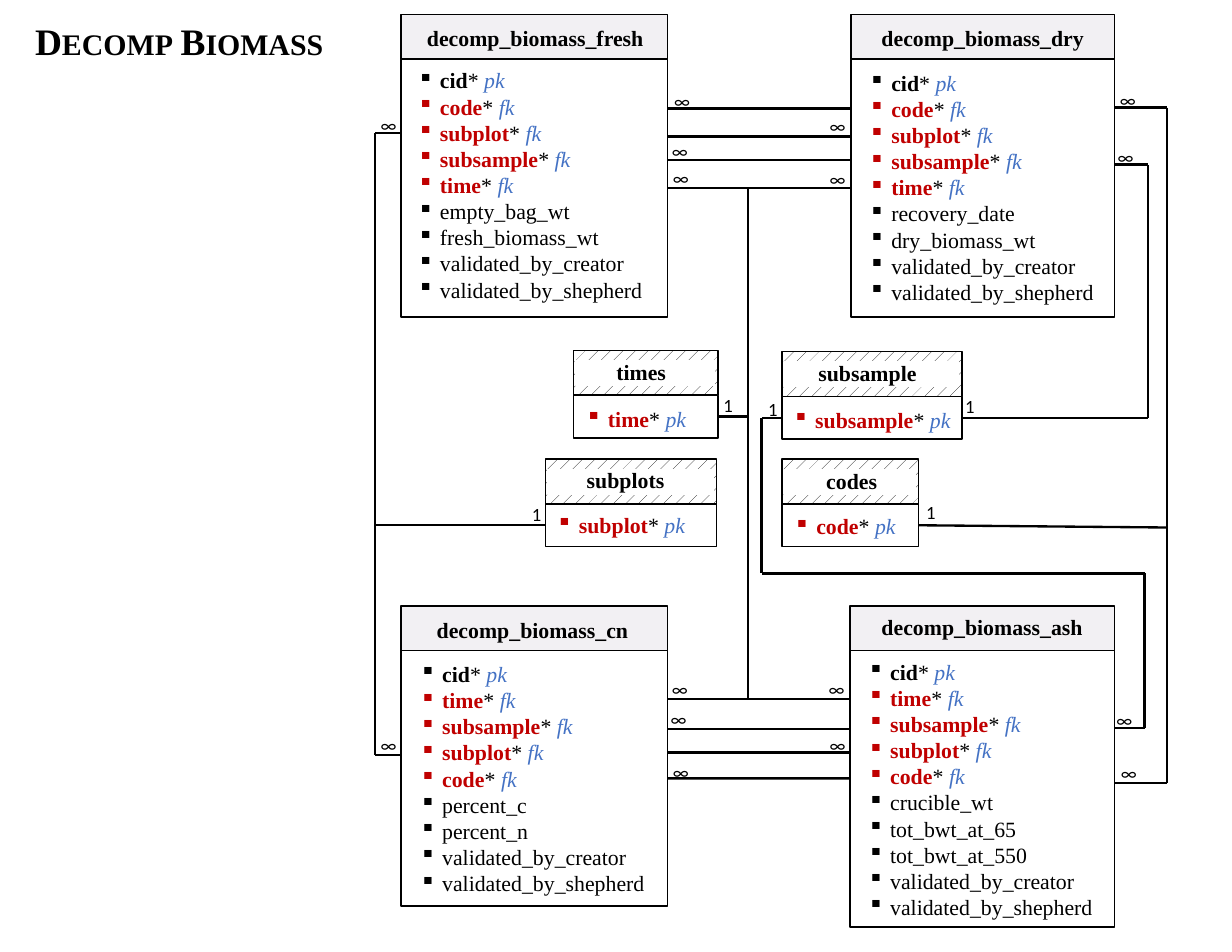
import pptx
import pptx.dml.color
import pptx.enum.dml
import pptx.enum.shapes
import pptx.enum.text
import pptx.oxml.ns
import pptx.util
from lxml import etree

Inches = pptx.util.Inches
RGBColor = pptx.dml.color.RGBColor
BLACK = RGBColor(0x00, 0x00, 0x00)
WHITE = RGBColor(0xFF, 0xFF, 0xFF)
HEADER_GREY = RGBColor(0xF2, 0xF0, 0xF3)
KEY_RED = RGBColor(0xC0, 0x00, 0x00)
KEY_BLUE = RGBColor(0x44, 0x72, 0xC4)
TOP, LEFT, BOTTOM, RIGHT = range(4)
HEADER_H = 0.4
LOOKUP_BODY_H = 0.38


class Diagram:
    serif = "Times New Roman"
    sans = "Calibri"

    def __init__(self, slide):
        self.s = slide

    def rect(self, box, fill, line=BLACK):
        kind = pptx.enum.shapes.MSO_SHAPE.RECTANGLE
        sp = self.s.shapes.add_shape(kind, *map(Inches, box))
        sp.shadow.inherit = False
        sp.fill.solid()
        sp.fill.fore_color.rgb = fill
        sp.line.color.rgb = line
        sp.line.width = pptx.util.Pt(1)
        return sp

    def hatched(self, box):
        sp = self.rect(box, WHITE)
        sp.fill.patterned()
        sp.fill.pattern = pptx.enum.dml.MSO_PATTERN.PERCENT_10
        sp.fill.fore_color.rgb = BLACK
        sp.fill.back_color.rgb = WHITE

    def frame(self, box):
        tf = self.s.shapes.add_textbox(*map(Inches, box)).text_frame
        tf.word_wrap = True
        return tf

    def run(self, p, text, size=14, font=serif, color=BLACK, bold=False, italic=False):
        r = p.add_run()
        r.text = text
        r.font.size = pptx.util.Pt(size)
        r.font.name = font
        r.font.color.rgb = color
        r.font.bold = bold
        r.font.italic = italic
        return r

    def heading(self, box, text, size=14):
        p = self.frame(box).paragraphs[0]
        p.alignment = pptx.enum.text.PP_ALIGN.CENTER
        return self.run(p, text, size, bold=True)

    def title(self, box, text):
        r = self.heading(box, text, 24)
        r._r.get_or_add_rPr().set("cap", "small")

    def fields(self, box, rows):
        tf = self.frame(box)
        for i, (name, key) in enumerate(rows):
            p = tf.add_paragraph() if i else tf.paragraphs[0]
            pPr = p._p.get_or_add_pPr()
            pPr.set("marL", str(Inches(0.2)))
            pPr.set("indent", str(-Inches(0.2)))
            bullet = etree.SubElement(pPr, pptx.oxml.ns.qn("a:buChar"))
            bullet.set("char", "▪")
            shared = key and name != "cid"
            self.run(p, name, color=KEY_RED if shared else BLACK, bold=bool(key))
            if key:
                self.run(p, "* ")
                self.run(p, key, color=KEY_BLUE, italic=True)

    def entity(self, box, name, name_box, rows, rows_box):
        x, y, w, h = box
        self.rect((x, y, w, HEADER_H), HEADER_GREY)
        self.heading(name_box, name)
        body = self.rect((x, y + HEADER_H, w, h), WHITE)
        self.fields(rows_box, rows)
        return body

    def lookup(self, x, y, w, name, name_box, rows_box):
        self.hatched((x, y, w, HEADER_H))
        self.rect((x + 0.02, y + 0.09, w - 0.05, 0.22), WHITE, WHITE)
        self.heading(name_box, name)
        body = self.rect((x, y + HEADER_H, w, LOOKUP_BODY_H), WHITE)
        self.fields(rows_box, [(name.removesuffix("s"), "pk")])
        return body

    def route(self, points, start=None, end=None):
        cxns = []
        for a, b in zip(points, points[1:]):
            kind = pptx.enum.shapes.MSO_CONNECTOR.STRAIGHT
            cxn = self.s.shapes.add_connector(kind, *map(Inches, a + b))
            cxn.line.color.rgb = BLACK
            cxn.line.width = pptx.util.Pt(1.5)
            etree.SubElement(cxn._element.spPr, pptx.oxml.ns.qn("a:effectLst"))
            cxns.append(cxn)
        if start:
            cxns[0].begin_connect(*start)
        if end:
            cxns[-1].end_connect(*end)

    def mark(self, text, x, y):
        p = self.frame((x, y, 0.3, 0.3)).paragraphs[0]
        self.run(p, text, 12, self.sans)


def columns(keys, plain):
    rows = [("cid", "pk")] + [(k, "fk") for k in keys]
    checks = ["validated_by_creator", "validated_by_shepherd"]
    return rows + [(name, None) for name in plain + checks]


def main():
    prs = pptx.Presentation()
    prs.slide_width, prs.slide_height = Inches(11), Inches(8.5)
    d = Diagram(prs.slides.add_slide(prs.slide_layouts[6]))

    keys = ["code", "subplot", "subsample", "time"]
    fresh = d.entity((3.58, 0.13, 2.38, 2.3), "decomp_biomass_fresh", (3.61, 0.17, 2.34, 0.34),
                     columns(keys, ["empty_bag_wt", "fresh_biomass_wt"]),
                     (3.63, 0.55, 2.28, 2.22))
    dry = d.entity((7.6, 0.13, 2.35, 2.3), "decomp_biomass_dry", (7.6, 0.17, 2.35, 0.34),
                   columns(keys, ["recovery_date", "dry_biomass_wt"]),
                   (7.66, 0.57, 2.25, 2.22))
    keys.reverse()
    cn = d.entity((3.58, 5.41, 2.38, 2.28), "decomp_biomass_cn", (3.58, 5.46, 2.35, 0.34),
                  columns(keys, ["percent_c", "percent_n"]),
                  (3.65, 5.85, 2.27, 2.22))
    d.entity((7.59, 5.41, 2.36, 2.47), "decomp_biomass_ash", (7.77, 5.43, 2, 0.34),
             columns(keys, ["crucible_wt", "tot_bwt_at_65", "tot_bwt_at_550"]),
             (7.65, 5.83, 2.9, 2.46))

    codes = d.lookup(6.98, 4.1, 1.22, "codes", (7.19, 4.13, 0.83, 0.34), (6.99, 4.53, 1.17, 0.34))
    subplots = d.lookup(4.87, 4.1, 1.53, "subplots", (5.06, 4.12, 1.05, 0.34), (4.87, 4.52, 1.49, 0.34))
    d.hatch_cover = None
    subsamples = d.lookup(6.98, 3.14, 1.61, "subsamples", (7.19, 3.16, 1.11, 0.57), (6.98, 3.58, 1.61, 0.34))
    times = d.lookup(5.12, 3.13, 1.29, "times", (5.28, 3.15, 0.89, 0.34), (5.13, 3.57, 1.15, 0.34))

    for y in (0.97, 1.22, 1.43, 6.24, 6.51, 6.72):
        d.route([(5.96, y), (7.6, y)])
    d.route([(5.96, 1.68), (7.6, 1.68)], (fresh, RIGHT), (dry, LEFT))
    d.route([(5.96, 6.95), (7.59, 6.95)], (cn, RIGHT))

    d.route([(6.68, 1.68), (6.68, 6.24)])
    d.route([(6.41, 3.72), (6.68, 3.72)], (times, RIGHT))
    d.route([(3.58, 1.19), (3.35, 1.19), (3.35, 6.74), (3.58, 6.74)])
    d.route([(3.35, 4.69), (4.87, 4.69)], end=(subplots, LEFT))
    d.route([(9.95, 0.96), (10.42, 0.96), (10.42, 6.99), (9.95, 6.99)])
    d.route([(8.2, 4.69), (10.42, 4.71)], (codes, RIGHT))
    d.route([(8.59, 3.73), (10.25, 3.73), (10.25, 1.47), (9.95, 1.47)], (subsamples, RIGHT))
    d.route([(6.98, 3.73), (6.8, 3.73), (6.8, 5.12), (10.22, 5.12), (10.22, 6.5), (9.95, 6.5)],
            (subsamples, LEFT))

    many = [(3.3, 0.97), (3.3, 6.5),
            (5.92, 0.75), (5.9, 1.2), (5.91, 1.44), (5.9, 6), (5.89, 6.27), (5.91, 6.74),
            (7.31, 0.98), (7.31, 1.45), (7.3, 6), (7.31, 6.5),
            (9.9, 0.74), (9.88, 1.25), (9.87, 6.28), (9.91, 6.75)]
    one = [(6.36, 3.47), (4.65, 4.44), (8.17, 4.42), (8.52, 3.48), (6.76, 3.5)]
    for text, spots in (("∞", many), ("1", one)):
        for x, y in spots:
            d.mark(text, x, y)

    d.title((-0.79, 0.11, 4.78, 0.5), "Decomp Biomass")
    prs.save("out.pptx")


if __name__ == "__main__":
    main()
